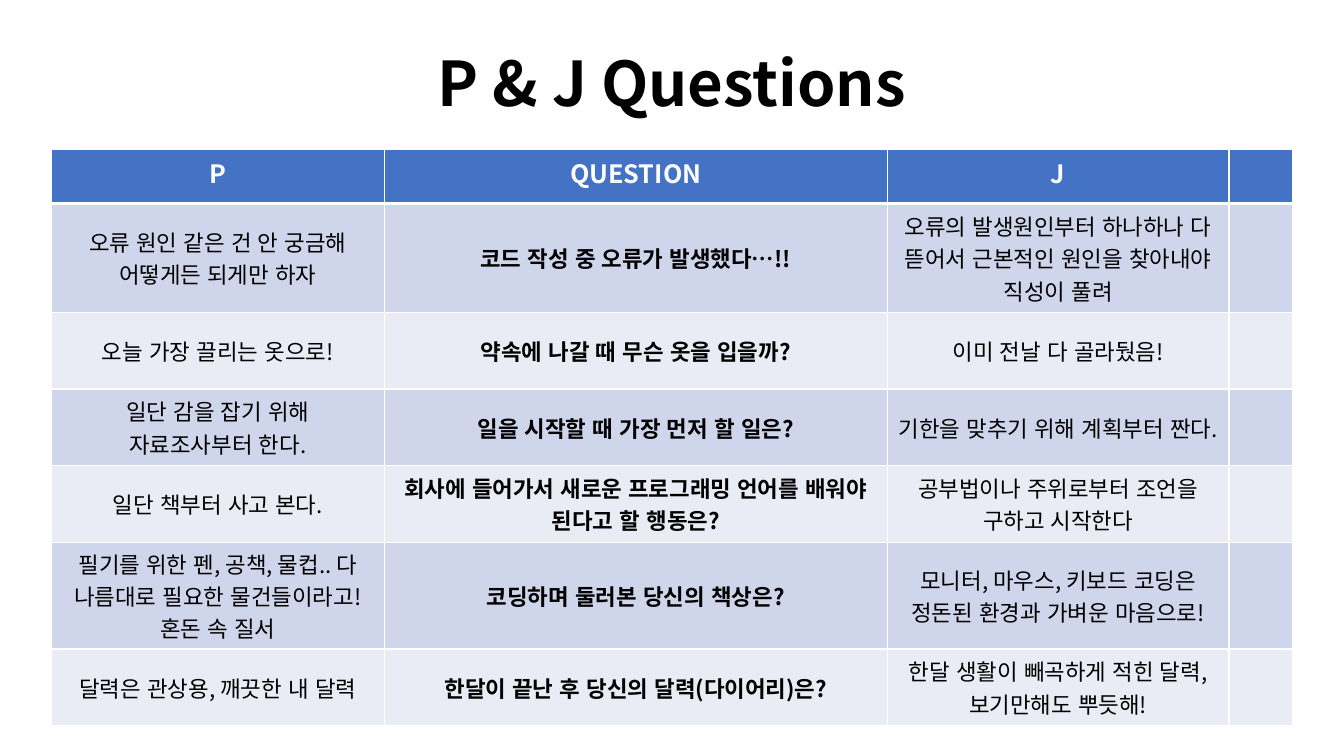
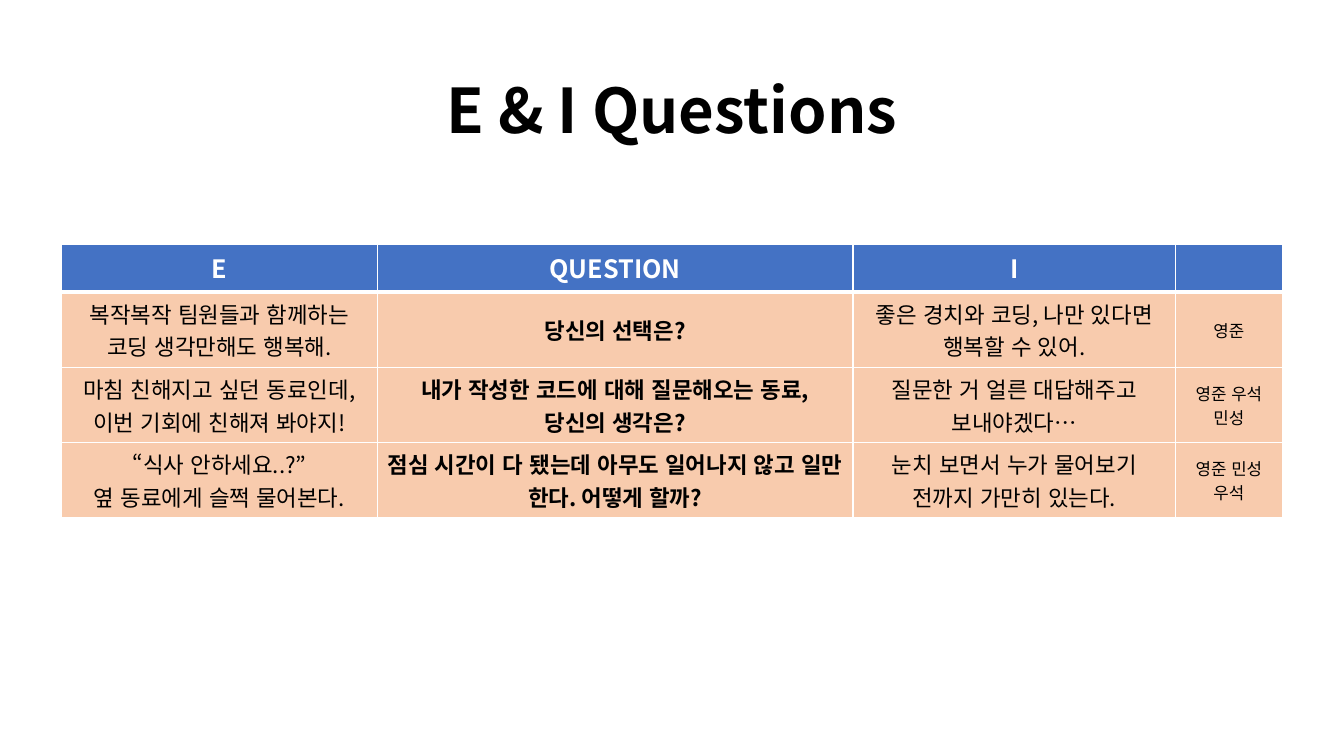
from dataclasses import dataclass

from lxml import etree
from pptx import Presentation
from pptx.dml.color import RGBColor
from pptx.enum.lang import MSO_LANGUAGE_ID
from pptx.enum.text import MSO_ANCHOR, MSO_AUTO_SIZE, PP_ALIGN
from pptx.oxml.ns import qn
from pptx.util import Inches, Pt

CENTER = PP_ALIGN.CENTER
MIDDLE, TOP = MSO_ANCHOR.MIDDLE, MSO_ANCHOR.TOP
NO_AUTOFIT = MSO_AUTO_SIZE.NONE
KOREAN = MSO_LANGUAGE_ID.KOREAN
TITLE_ONLY = 5
QUESTION_COLUMN, NAMES_COLUMN = 1, 3


@dataclass(frozen=True)
class Theme:
    """Colours, type sizes and line widths of the deck."""

    font: str = "Noto Sans CJK KR"
    text: str = "000000"
    light: str = "FFFFFF"
    header: str = "4472C4"
    blue_bands: tuple[str, ...] = ("CFD5EA", "E9EBF5")
    peach_bands: tuple[str, ...] = ("F8CBAD",)
    title_size: int = 44
    header_size: int = 18
    body_size: int = 16
    names_size: int = 12
    thin_line: int = 1
    thick_line: int = 3


@dataclass(frozen=True)
class TextStyle:
    """Size, colour and weight of a span."""

    size: int
    color: str
    bold: bool


@dataclass(frozen=True)
class QuestionPage:
    """One question table, with lengths in percent of the slide."""

    title: str
    title_top: float
    table_top: float
    columns: tuple[float, ...]
    row_heights: tuple[float, ...]
    bands: tuple[str, ...]
    header: tuple[str, ...]
    rows: tuple[tuple[str, ...], ...]


THEME = Theme()
SLIDE_WIDTH, SLIDE_HEIGHT = Inches(13.33), Inches(7.5)
TITLE_WIDTH, TITLE_HEIGHT = 86.25, 19.33
TITLE_STYLE = TextStyle(THEME.title_size, THEME.text, True)
HEADER_STYLE = TextStyle(THEME.header_size, THEME.light, True)
QUESTION_STYLE = TextStyle(THEME.body_size, THEME.text, True)
ANSWER_STYLE = TextStyle(THEME.body_size, THEME.text, False)
NAMES_STYLE = TextStyle(THEME.names_size, THEME.text, False)

PAGES = (
    QuestionPage(
        title="P & J Questions",
        title_top=1.73,
        table_top=19.73,
        columns=(24.76, 37.43, 25.43, 4.73),
        row_heights=(7.2, 14.4) + (10.13,) * 5,
        bands=THEME.blue_bands,
        header=("P", "QUESTION", "J", ""),
        rows=(
            ("오류 원인 같은 건 안 궁금해\n어떻게든 되게만 하자",
             "코드 작성 중 오류가 발생했다…!!",
             "오류의 발생원인부터 하나하나 다 뜯어서 근본적인 원인을 찾아내야 직성이 풀려", ""),
            ("오늘 가장 끌리는 옷으로!",
             "약속에 나갈 때 무슨 옷을 입을까?",
             "이미 전날 다 골라뒀음!", ""),
            ("일단 감을 잡기 위해 자료조사부터 한다.",
             "일을 시작할 때 가장 먼저 할 일은?",
             "기한을 맞추기 위해 계획부터 짠다.", ""),
            ("일단 책부터 사고 본다.",
             "회사에 들어가서 새로운 프로그래밍 언어를 배워야 된다고 할 행동은?",
             "공부법이나 주위로부터 조언을 구하고 시작한다", ""),
            ("필기를 위한 펜, 공책, 물컵.. 다 나름대로 필요한 물건들이라고! 혼돈 속 질서",
             "코딩하며 둘러본 당신의 책상은?",
             "모니터, 마우스, 키보드 코딩은 정돈된 환경과 가벼운 마음으로!", ""),
            ("달력은 관상용, 깨끗한 내 달력",
             "한달이 끝난 후 당신의 달력(다이어리)은?",
             "한달 생활이 빼곡하게 적힌 달력, 보기만해도 뿌듯해!", ""),
        ),
    ),
    QuestionPage(
        title="E & I Questions",
        title_top=5.33,
        table_top=32.27,
        columns=(23.48, 35.41, 24, 7.95),
        row_heights=(6.4,) + (9.95,) * 3,
        bands=THEME.peach_bands,
        header=("E", "QUESTION", "I", ""),
        rows=(
            ("복작복작 팀원들과 함께하는 코딩 생각만해도 행복해.",
             "당신의 선택은?",
             "좋은 경치와 코딩, 나만 있다면 행복할 수 있어.", "영준"),
            ("마침 친해지고 싶던 동료인데, 이번 기회에 친해져 봐야지!",
             "내가 작성한 코드에 대해 질문해오는 동료,\n당신의 생각은?",
             "질문한 거 얼른 대답해주고 보내야겠다…", "영준 우석 민성"),
            ("“식사 안하세요..?”\n옆 동료에게 슬쩍 물어본다.",
             "점심 시간이 다 됐는데 아무도 일어나지 않고 일만 한다. 어떻게 할까?",
             "눈치 보면서 누가 물어보기 전까지 가만히 있는다.", "영준 민성 우석"),
        ),
    ),
)


def across(percent: float) -> int:
    """Turn a share of the slide width into a length."""
    return round(SLIDE_WIDTH * percent / 100)


def down(percent: float) -> int:
    """Turn a share of the slide height into a length."""
    return round(SLIDE_HEIGHT * percent / 100)


def write_text(frame, text: str, style: TextStyle, line_spacing: float = 1) -> None:
    """Fill a text frame with one centred paragraph per line."""
    for index, line in enumerate(text.split("\n")):
        para = frame.add_paragraph() if index else frame.paragraphs[0]
        para.alignment = CENTER
        para.line_spacing = line_spacing
        if not line:
            continue
        span = para.add_run()
        span.text = line
        font = span.font
        font.name = THEME.font
        font.size = Pt(style.size)
        font.bold = style.bold
        font.color.rgb = RGBColor.from_string(style.color)
        font.language_id = KOREAN
        east_asian = etree.SubElement(span._r.get_or_add_rPr(), qn("a:ea"))
        east_asian.set("typeface", THEME.font)


def add_borders(cell, top: int, bottom: int) -> None:
    """Give a cell white borders, with its own top and bottom widths."""
    properties = cell._tc.get_or_add_tcPr()
    widths = {"lnL": THEME.thin_line, "lnR": THEME.thin_line, "lnT": top, "lnB": bottom}
    for position, (tag, width) in enumerate(widths.items()):
        line = etree.Element(qn(f"a:{tag}"), w=str(Pt(width)))
        fill = etree.SubElement(line, qn("a:solidFill"))
        etree.SubElement(fill, qn("a:srgbClr"), val=THEME.light)
        properties.insert(position, line)


def cell_style(row: int, column: int) -> TextStyle:
    """Choose the text style for a place in the table."""
    if row == 0:
        return HEADER_STYLE
    return {QUESTION_COLUMN: QUESTION_STYLE, NAMES_COLUMN: NAMES_STYLE}.get(column, ANSWER_STYLE)


def draw_title(page, content: QuestionPage) -> None:
    """Place and format the page title."""
    box = page.shapes.title
    box.left, box.top = across((100 - TITLE_WIDTH) / 2), down(content.title_top)
    box.width, box.height = across(TITLE_WIDTH), down(TITLE_HEIGHT)
    frame = box.text_frame
    frame.word_wrap = True
    frame.auto_size = NO_AUTOFIT
    frame.vertical_anchor = MIDDLE
    write_text(frame, content.title, TITLE_STYLE, 0.9)


def draw_table(page, content: QuestionPage) -> None:
    """Draw the question table centred across the page."""
    grid = (content.header,) + content.rows
    width = sum(content.columns)
    table = page.shapes.add_table(
        len(grid), len(content.columns),
        across((100 - width) / 2), down(content.table_top),
        across(width), down(sum(content.row_heights)),
    ).table
    table.horz_banding = False
    for column, share in zip(table.columns, content.columns):
        column.width = across(share)
    for row, share in zip(table.rows, content.row_heights):
        row.height = down(share)
    for row, texts in enumerate(grid):
        color = content.bands[(row - 1) % len(content.bands)] if row else THEME.header
        top = THEME.thick_line if row == 1 else THEME.thin_line
        bottom = THEME.thick_line if row == 0 else THEME.thin_line
        for column, text in enumerate(texts):
            cell = table.cell(row, column)
            cell.fill.solid()
            cell.fill.fore_color.rgb = RGBColor.from_string(color)
            cell.vertical_anchor = MIDDLE if row else TOP
            add_borders(cell, top, bottom)
            write_text(cell.text_frame, text, cell_style(row, column))


def main() -> None:
    """Build and save the deck."""
    deck = Presentation()
    deck.slide_width, deck.slide_height = SLIDE_WIDTH, SLIDE_HEIGHT
    for content in PAGES:
        page = deck.slides.add_slide(deck.slide_layouts[TITLE_ONLY])
        draw_title(page, content)
        draw_table(page, content)
    deck.save("out.pptx")


if __name__ == "__main__":
    main()
